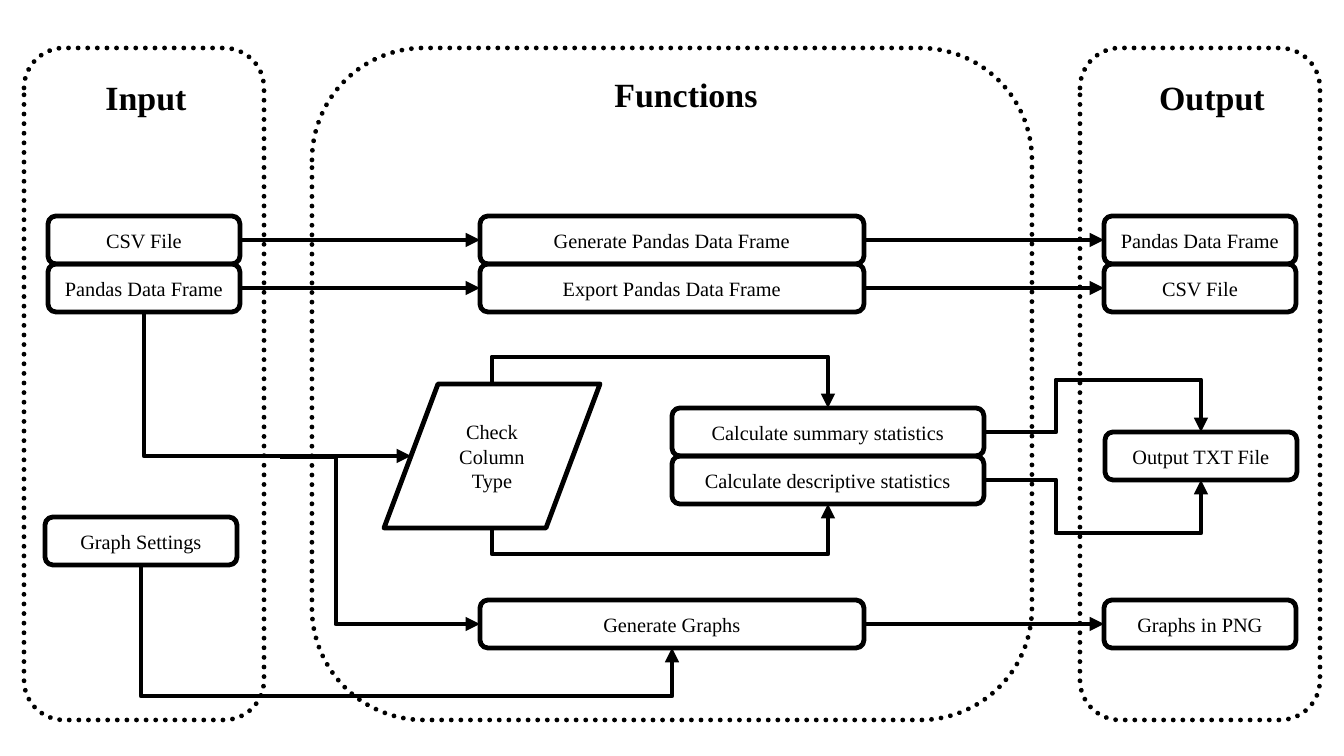
import pptx
import pptx.dml.color
import pptx.enum.dml
import pptx.enum.shapes
import pptx.enum.text
import pptx.oxml.ns
import pptx.util
from lxml import etree

SHAPE = pptx.enum.shapes.MSO_SHAPE
BLACK = pptx.dml.color.RGBColor(0, 0, 0)
FONT = "Times New Roman"
LINE_WIDTH = pptx.util.Pt(2.83)
EMU_PER_PX = 914400 / 122

# Content: lengths in px
SLIDE_SIZE = (1344, 756)
PANEL_TOP, PANEL_HEIGHT = 48, 672
PANELS = [(24, 240), (312, 720), (1080, 240)]  # left, width
HEADINGS = [
    ("Input", 62, 71, 168),
    ("Functions", 590, 68, 192),
    ("Output", 1128, 71, 168),
]
BOX_HEIGHT = 48
BOX_MARGIN, CHECK_MARGIN = 6, 15  # left and right of the text
BOXES = {  # key: text, left, top, width
    "csv in": ("CSV File", 48, 216, 192),
    "frame in": ("Pandas Data Frame", 48, 264, 192),
    "settings": ("Graph Settings", 45, 517, 192),
    "generate frame": ("Generate Pandas Data Frame", 480, 216, 384),
    "export frame": ("Export Pandas Data Frame", 480, 264, 384),
    "summary": ("Calculate summary statistics", 672, 408, 312),
    "descriptive": ("Calculate descriptive statistics", 672, 456, 312),
    "generate graphs": ("Generate Graphs", 480, 600, 384),
    "frame out": ("Pandas Data Frame", 1104, 216, 192),
    "csv out": ("CSV File", 1104, 264, 192),
    "txt out": ("Output TXT File", 1105, 432, 192),
    "png out": ("Graphs in PNG", 1104, 600, 192),
}
CHECK = ("Check Column Type", 384, 384, 216, 144)
STRAIGHT_FLOWS = [
    ("csv in", "generate frame"),
    ("generate frame", "frame out"),
    ("frame in", "export frame"),
    ("export frame", "csv out"),
    ("generate graphs", "png out"),
]
BENT_FLOWS = [
    [(141, 565), (141, 696), (672, 696), (672, 648)],  # settings to graphs
    [(984, 432), (1056, 432), (1056, 380), (1201, 380), (1201, 432)],
    [(984, 480), (1056, 480), (1056, 533), (1201, 533), (1201, 480)],
    [(492, 384), (492, 357), (828, 357), (828, 408)],  # check to summary
    [(492, 528), (492, 554), (828, 554), (828, 504)],  # check to descriptive
    [(144, 312), (144, 456), (411, 456)],  # data frame to check
    [(280, 457), (336, 457), (336, 624), (480, 624)],  # data frame to graphs
]


def px(length):
    return pptx.util.Emu(round(length * EMU_PER_PX))


def style_line(line):
    line.color.rgb = BLACK
    line.width = LINE_WIDTH


def add_arrowhead(line_owner):
    outline = line_owner.line._get_or_add_ln()
    etree.SubElement(outline, pptx.oxml.ns.qn("a:tailEnd"), type="triangle")


def set_text(frame, text, size, bold=False):
    frame.text = text
    frame.word_wrap = True
    paragraph = frame.paragraphs[0]
    paragraph.alignment = pptx.enum.text.PP_ALIGN.CENTER
    font = paragraph.runs[0].font
    font.name, font.size, font.bold = FONT, pptx.util.Pt(size), bold
    font.color.rgb = BLACK


def add_outline(slide, kind, left, top, width, height):
    outline = slide.shapes.add_shape(kind, px(left), px(top), px(width), px(height))
    outline.shadow.inherit = False
    outline.fill.background()
    style_line(outline.line)
    return outline


def add_step(slide, kind, text, left, top, width, height, margin):
    step = add_outline(slide, kind, left, top, width, height)
    frame = step.text_frame
    frame.margin_left = frame.margin_right = px(margin)
    frame.margin_top = frame.margin_bottom = pptx.util.Inches(0.07)
    frame.vertical_anchor = pptx.enum.text.MSO_ANCHOR.MIDDLE
    set_text(frame, text, 12)
    return step


def add_straight_flow(slide, source, target):
    flow = slide.shapes.add_connector(pptx.enum.shapes.MSO_CONNECTOR.STRAIGHT, 0, 0, 0, 0)
    flow.begin_connect(source, 3)
    flow.end_connect(target, 1)
    style_line(flow.line)
    add_arrowhead(flow)
    etree.SubElement(flow._element.spPr, pptx.oxml.ns.qn("a:effectLst"))


def add_bent_flow(slide, points):
    corners = [(px(x), px(y)) for x, y in points]
    builder = slide.shapes.build_freeform(*corners[0])
    builder.add_line_segments(corners[1:], close=False)
    flow = builder.convert_to_shape()
    flow.shadow.inherit = False
    flow.fill.background()
    style_line(flow.line)
    add_arrowhead(flow)


def main():
    deck = pptx.Presentation()
    deck.slide_width, deck.slide_height = map(px, SLIDE_SIZE)
    slide = deck.slides.add_slide(deck.slide_layouts[6])

    # Dotted panels and their headings
    for left, width in PANELS:
        panel = add_outline(slide, SHAPE.ROUNDED_RECTANGLE, left, PANEL_TOP, width, PANEL_HEIGHT)
        panel.line.dash_style = pptx.enum.dml.MSO_LINE.ROUND_DOT
        panel.line._get_or_add_ln().set("cap", "rnd")
    for text, left, top, width in HEADINGS:
        heading = slide.shapes.add_textbox(px(left), px(top), px(width), px(50))
        set_text(heading.text_frame, text, 20, bold=True)

    # Steps
    steps = {
        key: add_step(slide, SHAPE.ROUNDED_RECTANGLE, *box, BOX_HEIGHT, BOX_MARGIN)
        for key, box in BOXES.items()
    }
    check = add_step(slide, SHAPE.PARALLELOGRAM, *CHECK, CHECK_MARGIN)
    check.adjustments[0] = 0.375

    # Flows
    for source, target in STRAIGHT_FLOWS:
        add_straight_flow(slide, steps[source], steps[target])
    for points in BENT_FLOWS:
        add_bent_flow(slide, points)

    deck.save("out.pptx")


if __name__ == "__main__":
    main()
